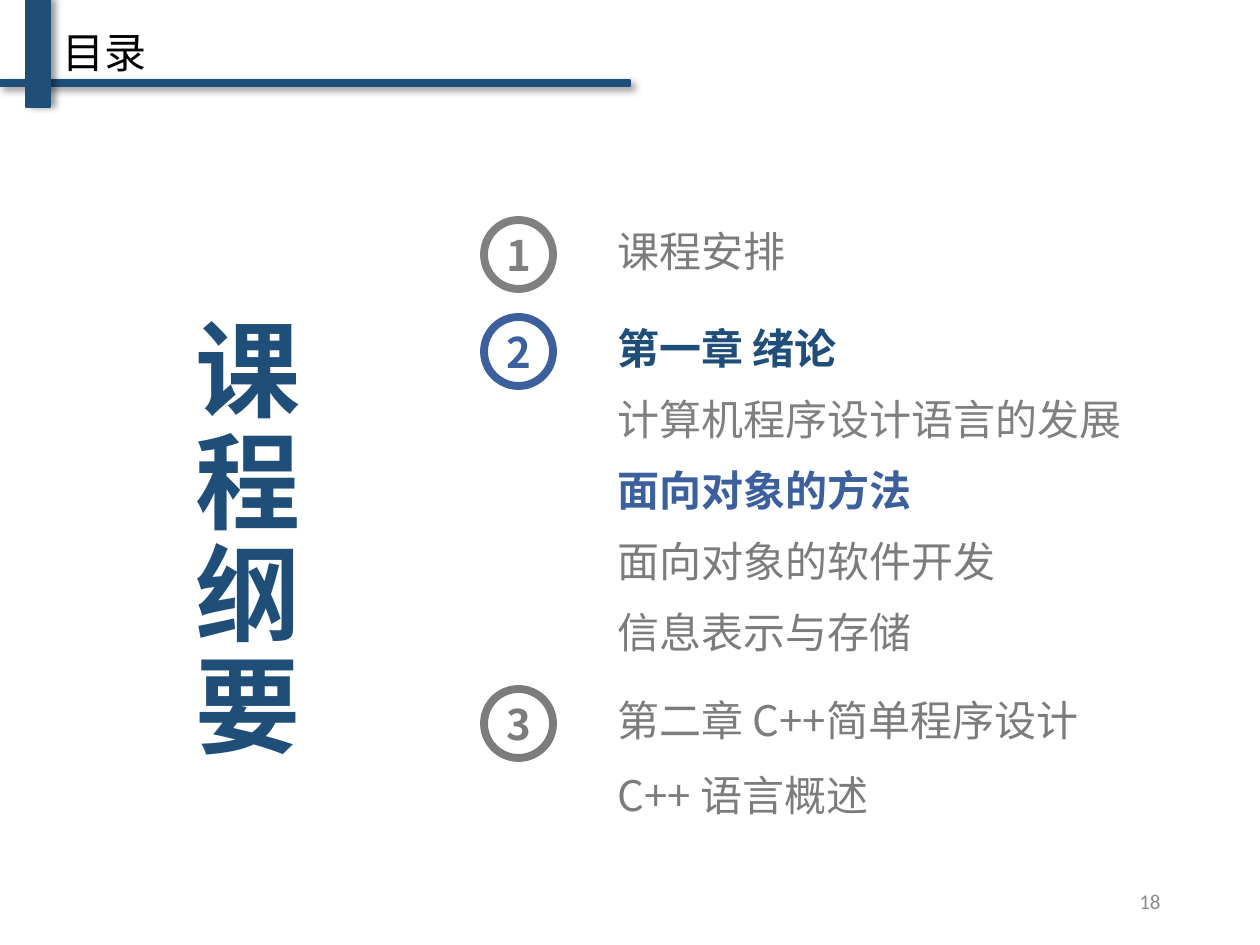
from lxml import etree
from pptx import Presentation
from pptx.dml.color import RGBColor
from pptx.enum.shapes import MSO_SHAPE
from pptx.enum.text import MSO_ANCHOR, PP_ALIGN
from pptx.oxml.ns import qn
from pptx.util import Emu, Pt

EMU_PER_PX = 914400 / 126
HEADING_FONT = "Noto Sans CJK SC"
NAVY, BLUE, GREY, DARK_GREY = "1F4E79", "3C609E", "808080", "7C7C7C"

CHAPTERS = [
    (215, 71, "课程安排", GREY, DARK_GREY, []),
    (312, 71, "第一章 绪论", BLUE, NAVY, [
        ("计算机程序设计语言的发展", GREY),
        ("面向对象的方法", BLUE),
        ("面向对象的软件开发", DARK_GREY),
        ("信息表示与存储", DARK_GREY),
    ]),
    (684, 75, "第二章 C++简单程序设计", DARK_GREY, DARK_GREY, [
        ("C++ 语言概述", DARK_GREY),
    ]),
]


def px(length):
    return Emu(round(length * EMU_PER_PX))


def colour(value):
    return RGBColor.from_string(value)


def write(frame, text, size, ink, bold=False, align=PP_ALIGN.LEFT,
          spacing=None, font=HEADING_FONT, anchor=MSO_ANCHOR.MIDDLE):
    frame.word_wrap = True
    frame.vertical_anchor = anchor
    para = frame.paragraphs[0]
    para.text = text
    para.alignment = align
    para.line_spacing = spacing
    para.font.size = Pt(size)
    para.font.bold = bold
    para.font.color.rgb = colour(ink)
    para.font.name = font
    for span in para.runs:
        east_asian = etree.SubElement(span._r.get_or_add_rPr(), qn("a:ea"))
        east_asian.set("typeface", font)


def add_text(page, left, top, width, height, text, size, ink, **style):
    box = page.shapes.add_textbox(px(left), px(top), px(width), px(height))
    write(box.text_frame, text, size, ink, **style)
    return box


def add_bar(page, left, top, width, height, line_width, angle):
    bar = page.shapes.add_shape(
        MSO_SHAPE.RECTANGLE, px(left), px(top), px(width), px(height))
    bar.fill.solid()
    bar.fill.fore_color.rgb = colour(NAVY)
    bar.line.color.rgb = colour(NAVY)
    bar.line.width = Pt(line_width)
    bar.shadow.inherit = False
    effects = bar._element.spPr.find(qn("a:effectLst"))
    shadow = etree.SubElement(
        effects, qn("a:outerShdw"), blurRad=str(Pt(4)), dist=str(Pt(3)),
        dir=str(angle * 60000), algn="tl", rotWithShape="0")
    tint = etree.SubElement(shadow, qn("a:srgbClr"), val="000000")
    etree.SubElement(tint, qn("a:alpha"), val="40000")


def add_header(page, left, top, title):
    add_text(page, left + 50, top + 20, 364, 64, title, 24, "000000",
             anchor=MSO_ANCHOR.TOP)
    add_bar(page, left, top + 80, 630, 6, 1, 45)
    add_bar(page, left + 26, top, 24, 107, 0.75, 0)


def add_course_title(page, left, top, width, height):
    box = add_text(page, left, top, width, height, "课程纲要", 60, NAVY,
                   bold=True, align=PP_ALIGN.CENTER, spacing=Pt(64))
    box.text_frame.margin_top = px(30)


def add_badge(page, left, top, size, number, ink):
    badge = page.shapes.add_shape(
        MSO_SHAPE.OVAL, px(left), px(top), px(size), px(size))
    badge.fill.background()
    badge.line.color.rgb = colour(ink)
    badge.line.width = Pt(4.5)
    badge.shadow.inherit = False
    frame = badge.text_frame
    frame.margin_left = frame.margin_right = 0
    frame.margin_top = frame.margin_bottom = 0
    write(frame, str(number), 24, ink, bold=True, align=PP_ALIGN.CENTER)


def add_chapter(page, left, top, number, pitch, heading, badge_ink, ink, topics):
    add_badge(page, left, top + 5, 69, number, badge_ink)
    for index, (text, shade) in enumerate([(heading, ink)] + topics):
        add_text(page, left + 121, top + index * pitch, 552, 78, text, 24, shade,
                 bold=shade in (NAVY, BLUE), spacing=0.9)


def add_page_number(page, left, top, width, height):
    add_text(page, left, top, width, height, "18", 12, "8C8C8C",
             align=PP_ALIGN.RIGHT, font="Calibri")


def main():
    deck = Presentation()
    deck.slide_width, deck.slide_height = px(1260), px(945)
    page = deck.slides.add_slide(deck.slide_layouts[6])
    add_header(page, 0, 0, "目录")
    add_course_title(page, 136, 231, 223, 600)
    for number, (top, pitch, *content) in enumerate(CHAPTERS, 1):
        add_chapter(page, 484, top, number, pitch, *content)
    add_page_number(page, 890, 876, 283, 50)
    deck.save("out.pptx")


if __name__ == "__main__":
    main()
